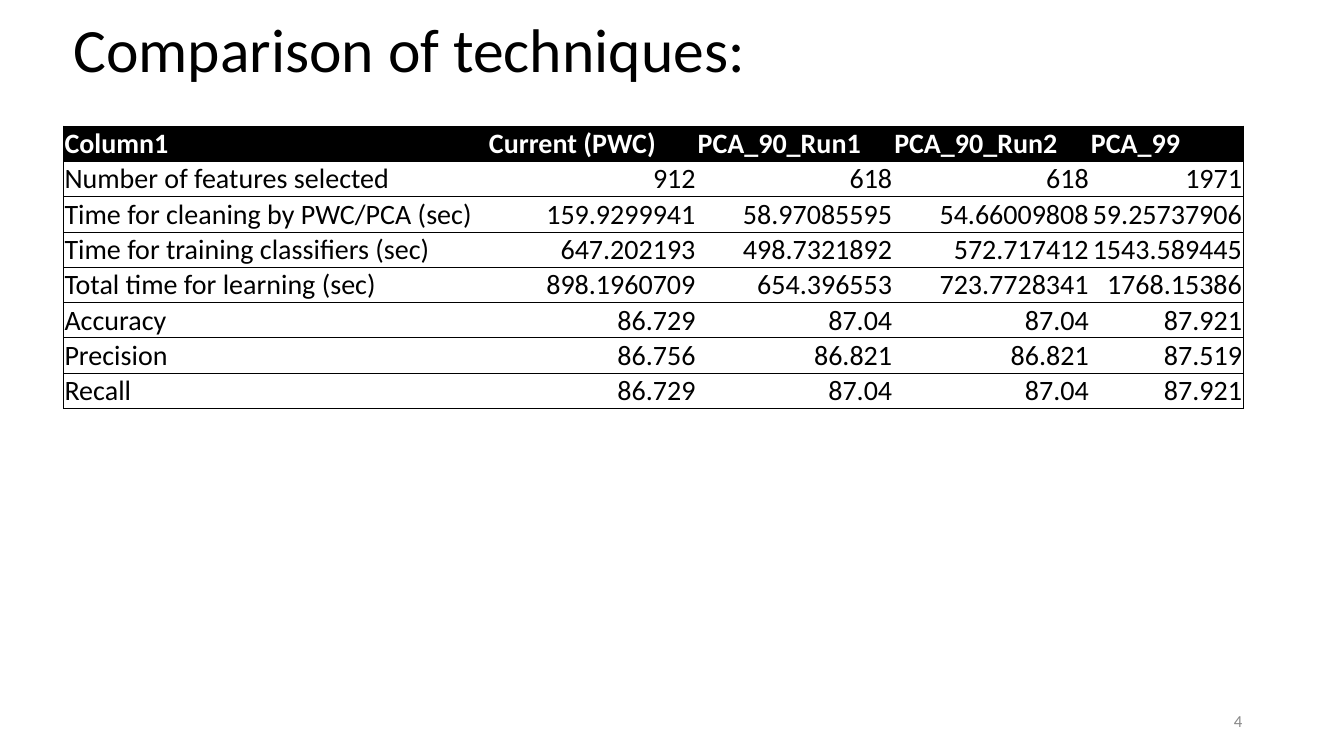
from lxml import etree
from pptx import Presentation
from pptx import util as u
from pptx.dml.color import RGBColor
from pptx.enum import text
from pptx.oxml import ns

BLACK = RGBColor(0x00, 0x00, 0x00)
WHITE = RGBColor(0xFF, 0xFF, 0xFF)
GRAY = RGBColor(0x88, 0x88, 0x88)
FONT = "Calibri"
LEFT, RIGHT = text.PP_ALIGN.LEFT, text.PP_ALIGN.RIGHT

COLUMN_WIDTHS = [4.21, 2.07, 1.95, 1.95, 1.52]
ROW_HEIGHT = 0.35
RESULTS = [
    ["Column1", "Current (PWC)", "PCA_90_Run1", "PCA_90_Run2", "PCA_99"],
    ["Number of features selected", "912", "618", "618", "1971"],
    ["Time for cleaning by PWC/PCA (sec)", "159.9299941", "58.97085595", "54.66009808", "59.25737906"],
    ["Time for training classifiers (sec)", "647.202193", "498.7321892", "572.717412", "1543.589445"],
    ["Total time for learning (sec)", "898.1960709", "654.396553", "723.7728341", "1768.15386"],
    ["Accuracy", "86.729", "87.04", "87.04", "87.921"],
    ["Precision", "86.756", "86.821", "86.821", "87.519"],
    ["Recall", "86.729", "87.04", "87.04", "87.921"],
]


def add_run(paragraph, words, size, color, bold=False, align=LEFT):
    paragraph.alignment = align
    run = paragraph.add_run()
    run.text = words
    run.font.name = FONT
    run.font.size = u.Pt(size)
    run.font.bold = bold
    run.font.color.rgb = color


def add_line_of_text(slide, box, words, size, color, align=LEFT, inset=0.05, spacing=1.0):
    frame = slide.shapes.add_textbox(*map(u.Inches, box)).text_frame
    frame.word_wrap = True
    frame.vertical_anchor = text.MSO_ANCHOR.MIDDLE
    frame.margin_left = frame.margin_right = u.Inches(0.1)
    frame.margin_top = frame.margin_bottom = u.Inches(inset)
    frame.paragraphs[0].line_spacing = spacing
    add_run(frame.paragraphs[0], words, size, color, align=align)


def set_borders(cell, visible):
    properties = cell._tc.get_or_add_tcPr()
    for side in "LRTB":
        border = etree.SubElement(properties, ns.qn(f"a:ln{side}"), w=str(u.Pt(0.5)))
        if side in visible:
            fill = etree.SubElement(border, ns.qn("a:solidFill"))
            etree.SubElement(fill, ns.qn("a:srgbClr"), val=str(BLACK))
        else:
            etree.SubElement(border, ns.qn("a:noFill"))


def fill_cell(cell, words, is_header, is_first, is_last):
    cell.margin_left = cell.margin_right = cell.margin_top = u.Inches(0.01)
    cell.margin_bottom = 0
    cell.vertical_anchor = text.MSO_ANCHOR.BOTTOM
    set_borders(cell, "TB" + "L" * is_first + "R" * is_last)
    if is_header:
        cell.fill.solid()
        cell.fill.fore_color.rgb = BLACK
    else:
        cell.fill.background()
    add_run(cell.text_frame.paragraphs[0], words, 20, WHITE if is_header else BLACK,
            bold=is_header, align=LEFT if is_header or is_first else RIGHT)


def add_results_table(slide, left, top):
    row_count, column_count = len(RESULTS), len(COLUMN_WIDTHS)
    results = slide.shapes.add_table(
        row_count, column_count, u.Inches(left), u.Inches(top),
        u.Inches(sum(COLUMN_WIDTHS)), u.Inches(ROW_HEIGHT * row_count)).table
    results.horz_banding = False
    for column, width in zip(results.columns, COLUMN_WIDTHS):
        column.width = u.Inches(width)
    for r, values in enumerate(RESULTS):
        results.rows[r].height = u.Inches(ROW_HEIGHT)
        for c, value in enumerate(values):
            fill_cell(results.cell(r, c), value, r == 0, c == 0, c == column_count - 1)


def main():
    deck = Presentation()
    deck.slide_width, deck.slide_height = u.Inches(13.33), u.Inches(7.5)
    slide = deck.slides.add_slide(deck.slide_layouts[6])
    add_line_of_text(slide, (0.63, 0.13, 11.5, 0.78), "Comparison of techniques:", 44, BLACK,
                     inset=0.1, spacing=0.9)
    add_results_table(slide, 0.63, 1.25)
    add_line_of_text(slide, (9.42, 6.95, 3, 0.4), "4", 12, GRAY, align=RIGHT)
    deck.save("out.pptx")


if __name__ == "__main__":
    main()
